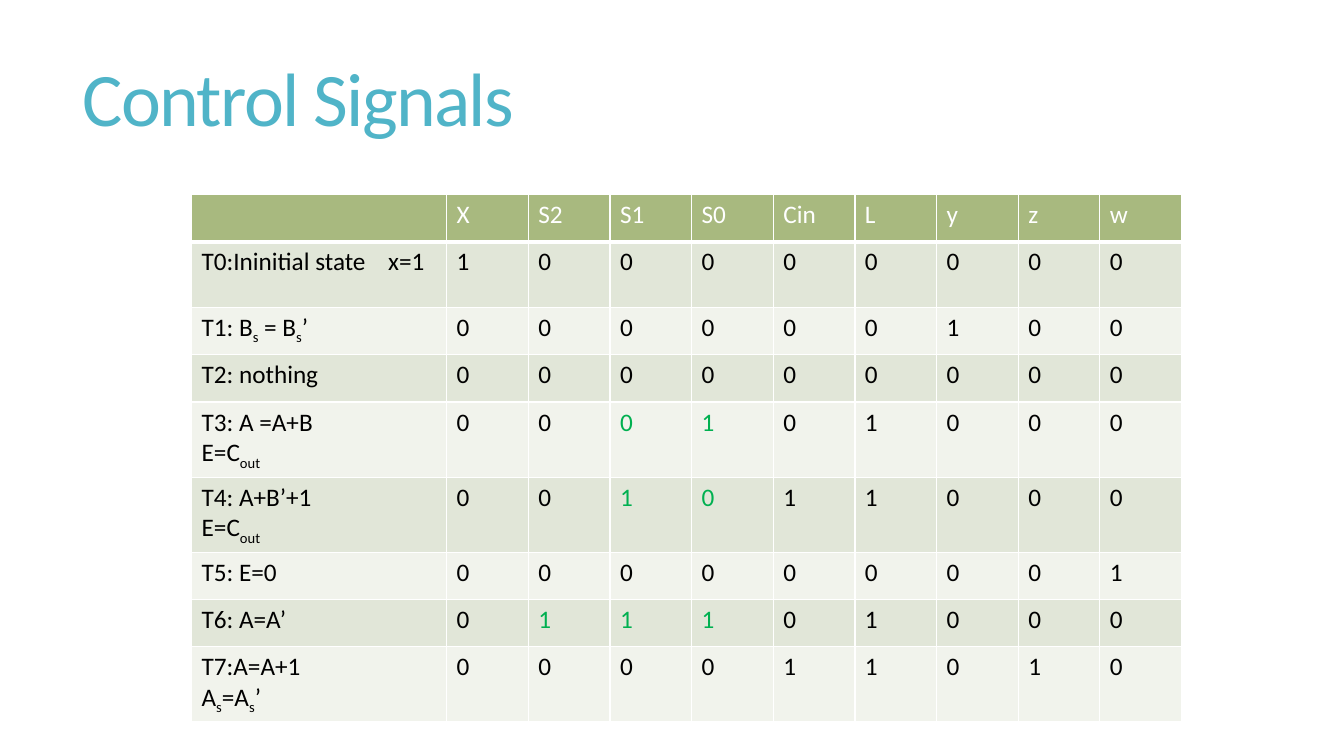
from pptx import Presentation, util as u
from pptx.dml.color import RGBColor
from pptx.enum import text as t
from pptx.oxml.ns import qn
from lxml import etree

# Content: text between underscores is subscript, a line break starts a paragraph
TITLE = "Control Signals"
HEAD = ["", "X", "S2", "S1", "S0", "Cin", "L", "y", "z", "w"]
STEPS = [
    ("T0:Ininitial state\tx=1", "100000000"),
    ("T1: B_s_ = B_s_’", "000000100"),
    ("T2: nothing", "000000000"),
    ("T3: A =A+B\nE=C_out_", "000101000"),
    ("T4: A+B’+1\nE=C_out_", "001011000"),
    ("T5: E=0", "000000001"),
    ("T6: A=A’", "011101000"),
    ("T7:A=A+1\nA_s_=A_s_’", "000011010"),
]
MARKS = {4: (3, 4), 5: (3, 4), 7: (2, 3, 4)}  # row: green columns
TALL = (1, 4, 5, 8)
HEX = {"title": "50B4C8", "head": "A8B97F", "odd": "E1E6D8", "even": "F1F3EC",
       "line": "FFFFFF", "white": "FFFFFF", "ink": "000000", "mark": "00B050"}
FONT = "Calibri"
WIDE, SLIM, LOW, HIGH = 2.53, 0.81, 0.47, 0.65
LEFT, TOP, TAB = 1.9, 1.93, 1.85


def style(run, size, color):
    for key, val in {"name": FONT, "size": u.Pt(size), "bold": False}.items():
        setattr(run.font, key, val)
    run.font.color.rgb = RGBColor.from_string(HEX[color])


def border(cell, side, width):
    props = cell._tc.get_or_add_tcPr()
    line = etree.SubElement(props, qn("a:ln" + side), w=str(u.Pt(width)))
    fill = etree.SubElement(line, qn("a:solidFill"))
    etree.SubElement(fill, qn("a:srgbClr"), val=HEX["line"])


def write(cell, words, color):
    for i, part in enumerate(words.split("\n")):
        frame = cell.text_frame
        para = frame.add_paragraph() if i else frame.paragraphs[0]
        if "\t" in part:
            tabs = etree.SubElement(para._p.get_or_add_pPr(), qn("a:tabLst"))
            etree.SubElement(tabs, qn("a:tab"), pos=str(u.Inches(TAB)), algn="l")
        for j, bit in enumerate(part.split("_")):
            if bit:
                run = para.add_run()
                run.text = bit
                style(run, 18, color)
                if j % 2:
                    run.font._element.set("baseline", "-25000")


def build():
    deck = Presentation()
    deck.slide_width, deck.slide_height = u.Inches(13.33), u.Inches(7.5)
    slide = deck.slides.add_slide(deck.slide_layouts[5])

    # Title
    title = slide.shapes.title
    box = {"left": 0.72, "top": 0.12, "width": 11.78, "height": 1.81}
    for key, val in box.items():
        setattr(title, key, u.Inches(val))
    title.text = TITLE
    frame = title.text_frame
    frame.vertical_anchor = t.MSO_ANCHOR.MIDDLE
    frame.auto_size = t.MSO_AUTO_SIZE.NONE
    para = frame.paragraphs[0]
    para.alignment, para.line_spacing = t.PP_ALIGN.LEFT, 0.85
    style(para.runs[0], 54, "title")
    para.runs[0].font._element.set("spc", "-120")

    # Table grid
    rows = [HEAD] + [[name, *bits] for name, bits in STEPS]
    cols = [WIDE] + [SLIM] * (len(HEAD) - 1)
    tops = [HIGH if r in TALL else LOW for r in range(len(rows))]
    area = map(u.Inches, (LEFT, TOP, sum(cols), sum(tops)))
    grid = slide.shapes.add_table(len(rows), len(cols), *area).table
    for col, width in zip(grid.columns, cols):
        col.width = u.Inches(width)
    for row, height in zip(grid.rows, tops):
        row.height = u.Inches(height)

    # Table cells
    for r, row in enumerate(rows):
        back = "head" if r == 0 else "odd" if r % 2 else "even"
        for c, words in enumerate(row):
            cell = grid.cell(r, c)
            for side in "LRTB":
                border(cell, side, 3 if r == 0 and side == "B" else 1)
            cell.fill.solid()
            cell.fill.fore_color.rgb = RGBColor.from_string(HEX[back])
            ink = "mark" if c in MARKS.get(r, ()) else "ink"
            write(cell, words, ink if r else "white")

    deck.save("out.pptx")


if __name__ == "__main__":
    build()
